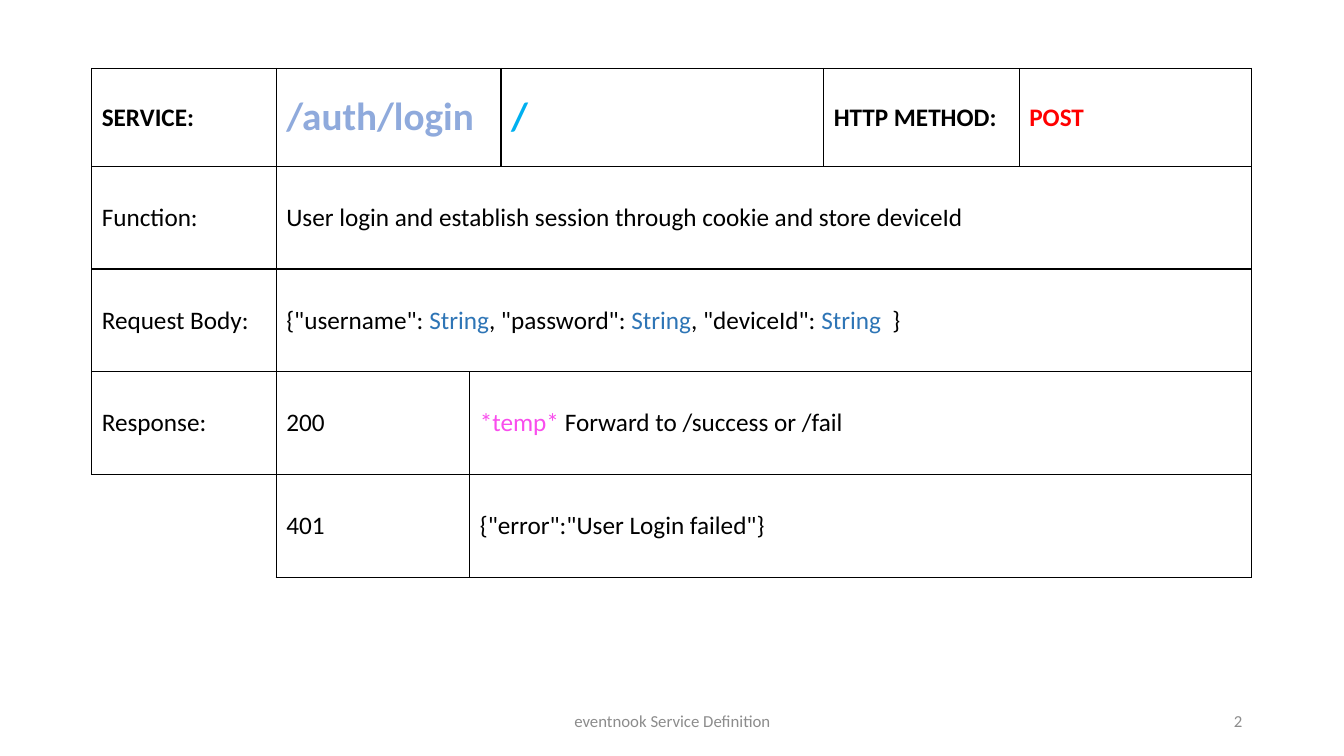
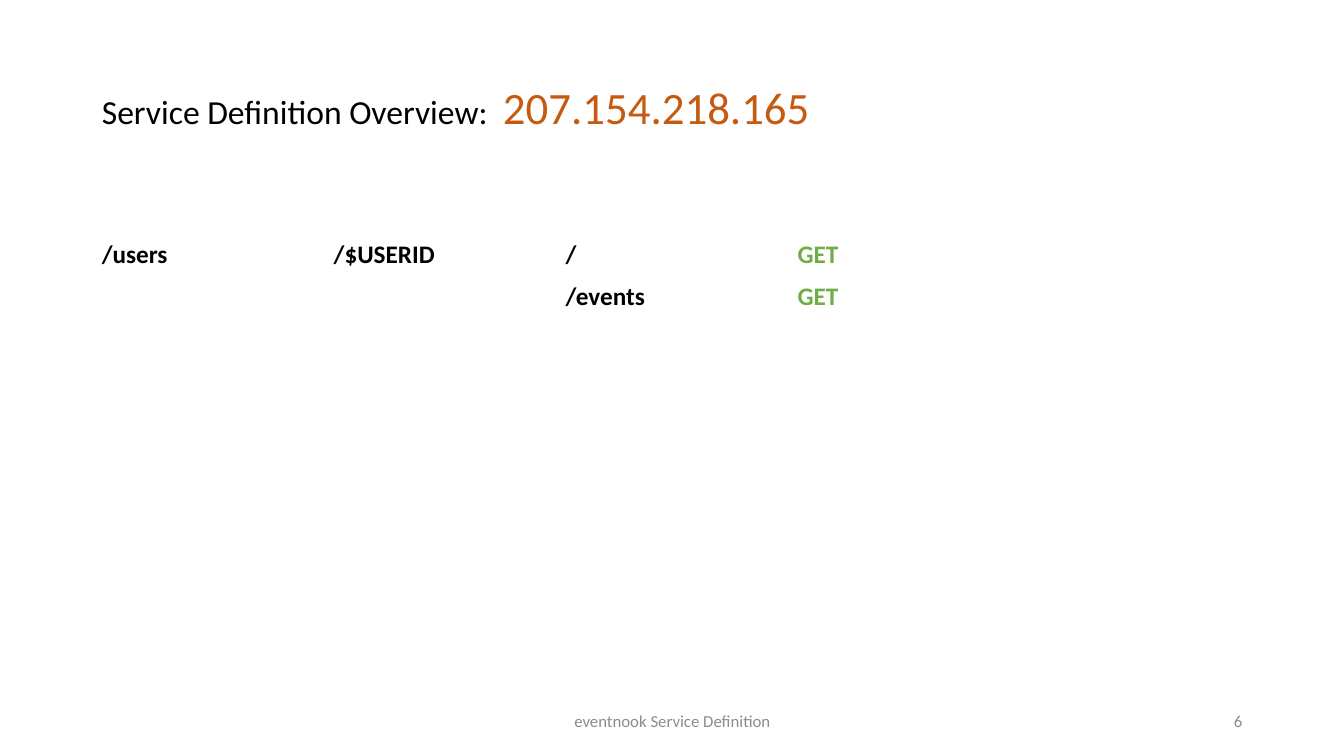
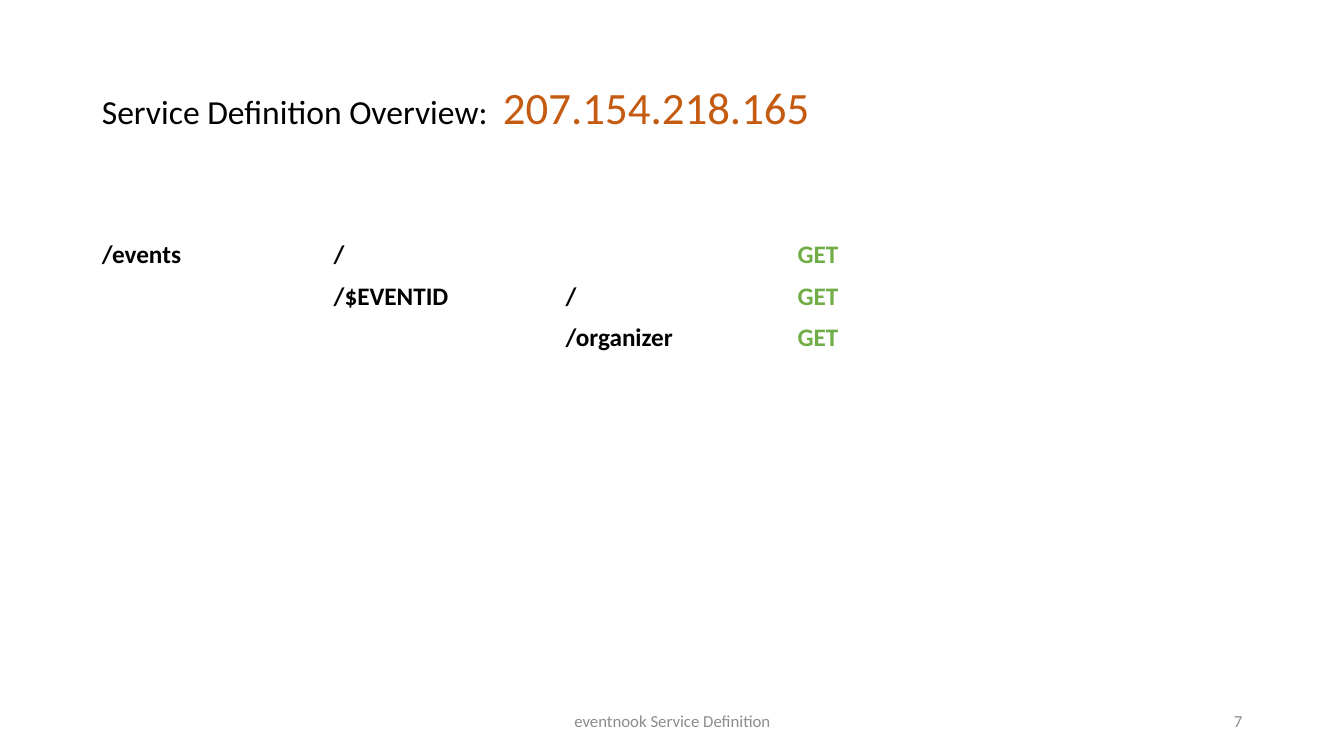
from pptx import Presentation
from pptx.dml.color import RGBColor
from pptx.enum.text import MSO_ANCHOR, MSO_AUTO_SIZE, PP_ALIGN
from pptx.oxml import parse_xml
from pptx.oxml.ns import nsdecls
from pptx.util import Inches, Pt

BLACK = RGBColor(0x00, 0x00, 0x00)
GRAY = RGBColor(0x8C, 0x8C, 0x8C)
PALE = RGBColor(0x8F, 0xAA, 0xDC)
CYAN = RGBColor(0x00, 0xB0, 0xF0)
RED = RGBColor(0xFF, 0x00, 0x00)
BLUE = RGBColor(0x2E, 0x75, 0xB6)
PINK = RGBColor(0xF9, 0x4D, 0xED)
GREEN = RGBColor(0x70, 0xAD, 0x47)
RUST = RGBColor(0xC5, 0x5A, 0x11)

FONT = "Calibri"
LEFT = 0.91
ALL = "LRTB"
PLAIN = "{2D5ABB26-0587-4C30-8999-92F81FD0307C}"
FLAGS = {"first_row": False, "horz_banding": False}
TITLE = {"word_wrap": False, "auto_size": MSO_AUTO_SIZE.SHAPE_TO_FIT_TEXT,
         "vertical_anchor": MSO_ANCHOR.TOP}
FOOTER = {"word_wrap": True, "vertical_anchor": MSO_ANCHOR.MIDDLE}


def apply(item, form):
    for name, value in form.items():
        setattr(item, name, value)


def place(shape, *box):
    apply(shape, dict(zip(("left", "top", "width", "height"), map(Inches, box))))


def write(frame, runs, size=18, bold=False, align=PP_ALIGN.LEFT):
    para = frame.paragraphs[0]
    para.alignment = align
    for text, color in runs:
        run = para.add_run()
        run.text = text
        apply(run.font, {"name": FONT, "size": Pt(size), "bold": bold})
        run.font.color.rgb = color


def add_foot(slide, number):
    for text, left, width, align in (
            ("eventnook Service Definition", 4.42, 4.5, PP_ALIGN.CENTER),
            (str(number), 9.42, 3, PP_ALIGN.RIGHT)):
        box = slide.shapes.add_textbox(*map(Inches, (left, 6.95, width, 0.4)))
        apply(box.text_frame, FOOTER)
        write(box.text_frame, [(text, GRAY)], 12, align=align)


def add_slide(deck, layout, number):
    slide = deck.slides.add_slide(deck.slide_layouts[layout])
    add_foot(slide, number)
    return slide


def add_grid(slide, top, cols, rows):
    shape = slide.shapes.add_table(
        len(rows), len(cols),
        *map(Inches, (LEFT, top, sum(cols), sum(rows))))
    grid = shape.table
    grid._tbl.tblPr[0].text = PLAIN
    apply(grid, FLAGS)
    for col, width in zip(grid.columns, cols):
        col.width = Inches(width)
    for row, height in zip(grid.rows, rows):
        row.height = Inches(height)
    for cell in grid.iter_cells():
        cell.fill.background()
    return grid


def add_edges(cell, sides):
    props = cell._tc.get_or_add_tcPr()
    lines = [parse_xml(
        f'<a:ln{side} {nsdecls("a")} w="12700"><a:solidFill>'
        f'<a:srgbClr val="{BLACK}"/></a:solidFill></a:ln{side}>')
        for side in ALL if side in sides]
    for spot, line in enumerate(lines):
        props.insert(spot, line)


def fill_cell(grid, row, col, span, runs, size=18, bold=False, sides=ALL):
    cell = grid.cell(row, col)
    last = grid.cell(row, col + span - 1)
    if span > 1:
        cell.merge(last)
    cell.vertical_anchor = MSO_ANCHOR.MIDDLE
    write(cell.text_frame, runs, size, bold)
    add_edges(cell, sides)
    for spot in range(col + 1, col + span):
        inner = "TBR" if spot == col + span - 1 else "TB"
        add_edges(grid.cell(row, spot), [s for s in inner if s in sides])


def add_service(deck, number):
    slide = add_slide(deck, 6, number)
    grid = add_grid(slide, 0.68, [1.83, 1.92, 0.31, 3.2, 1.94, 2.3],
                    [0.97] + [1.02] * 4)
    body = [('{"username": ', BLACK), ("String", BLUE),
            (', "password": ', BLACK), ("String", BLUE),
            (', "deviceId": ', BLACK), ("String  ", BLUE), ("}", BLACK)]
    goal = "User login and establish session through cookie and store deviceId"
    for entry in (
            (0, 0, 1, [("SERVICE:", BLACK)], 18, True),
            (0, 1, 2, [("/auth/login", PALE)], 28, True, "LTB"),
            (0, 3, 1, [("/", CYAN)], 28, True, "RTB"),
            (0, 4, 1, [("HTTP METHOD:", BLACK)], 18, True),
            (0, 5, 1, [("POST", RED)], 18, True),
            (1, 0, 1, [("Function:", BLACK)]),
            (1, 1, 5, [(goal, BLACK)]),
            (2, 0, 1, [("Request Body:", BLACK)]),
            (2, 1, 5, body),
            (3, 0, 1, [("Response:", BLACK)]),
            (3, 1, 1, [("200", BLACK)]),
            (3, 2, 4, [("*temp* ", PINK),
                       ("Forward to /success or /fail", BLACK)]),
            (4, 0, 1, [], 18, False, "RT"),
            (4, 1, 1, [("401", BLACK)]),
            (4, 2, 4, [('{"error":"User Login failed"}', BLACK)])):
        fill_cell(grid, *entry)


def add_routes(deck, number, count, routes):
    slide = add_slide(deck, 5, number)
    title = slide.shapes.title
    place(title, LEFT, 0.74, 7.3, 0.64)
    apply(title.text_frame, TITLE)
    write(title.text_frame, [("Service Definition Overview:  ", BLACK)], 24)
    write(title.text_frame, [("207.154.218.165", RUST)], 32)
    grid = add_grid(slide, 2.33, [2.3] * 5, [0.41] * count)
    for row, route in enumerate(routes):
        for col, text in enumerate(route):
            if text:
                color = GREEN if text == "GET" else BLACK
                write(grid.cell(row, col).text_frame, [(text, color)], bold=True)


def main():
    deck = Presentation()
    apply(deck, {"slide_width": Inches(13.33), "slide_height": Inches(7.5)})
    add_service(deck, 2)
    add_routes(deck, 6, 6, [("/users", "/$USERID", "/", "GET"),
                            ("", "", "/events", "GET")])
    add_routes(deck, 7, 5, [("/events", "/", "", "GET"),
                            ("", "/$EVENTID", "/", "GET"),
                            ("", "", "/organizer", "GET")])
    deck.save("out.pptx")


if __name__ == "__main__":
    main()
